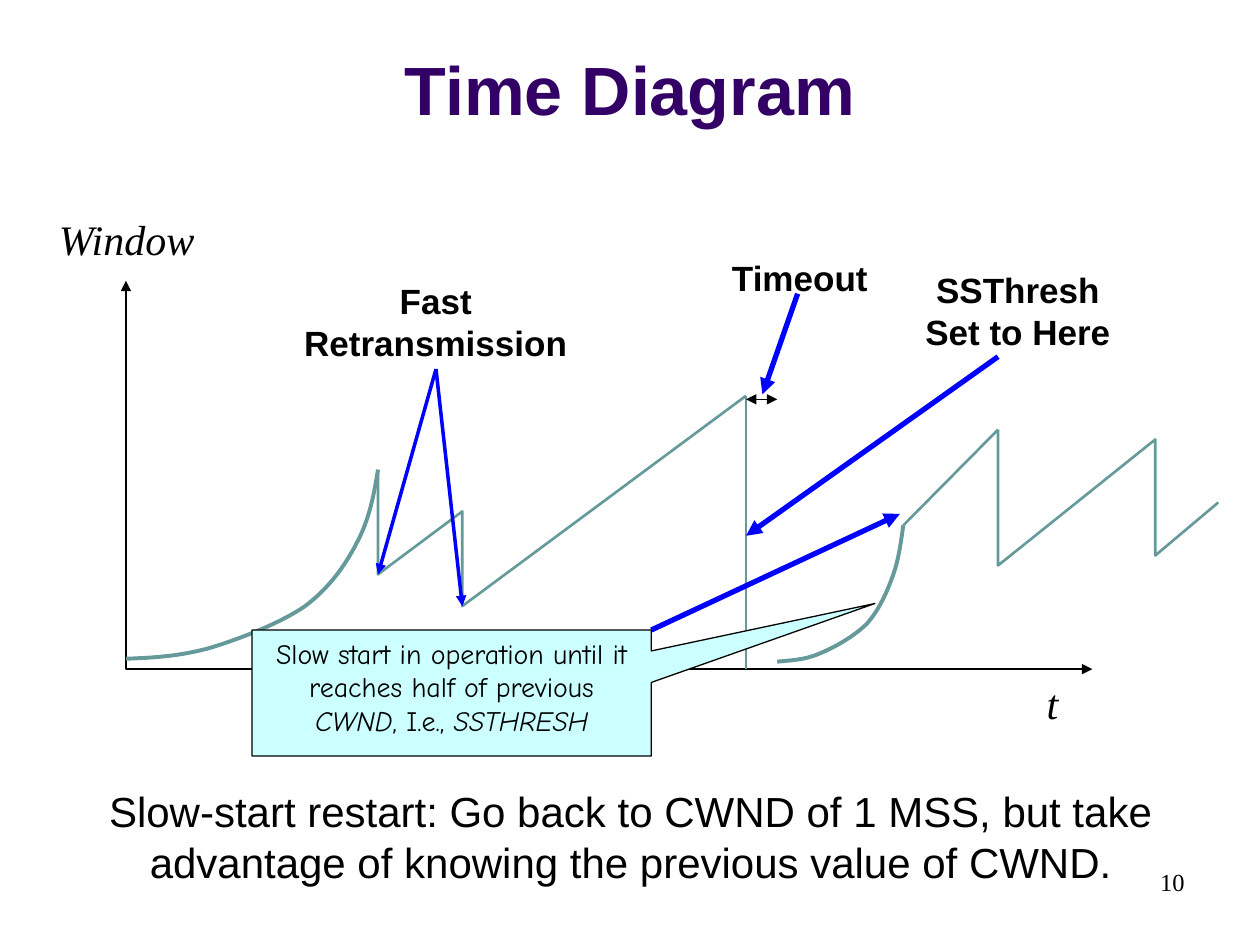
from dataclasses import dataclass

from lxml.etree import SubElement
from pptx import Presentation
from pptx.dml.color import RGBColor as RGB
from pptx.enum.shapes import MSO_CONNECTOR as Connector, MSO_SHAPE as Shape
from pptx.enum.text import MSO_ANCHOR as Anchor, PP_ALIGN as Align
from pptx.oxml.ns import qn
from pptx.util import Cm, Pt


@dataclass(frozen=True)
class Theme:
    title: RGB = RGB(0x33, 0x00, 0x66)
    ink: RGB = RGB(0x00, 0x00, 0x00)
    curve: RGB = RGB(0x66, 0x99, 0x99)
    pointer: RGB = RGB(0x00, 0x00, 0xFF)
    callout: RGB = RGB(0xCC, 0xFF, 0xFF)
    sans: str = "Arial"
    serif: str = "Times New Roman"
    comic: str = "Comic Neue"
    title_size: int = 39
    body_size: int = 24
    label_size: int = 20
    callout_size: int = 16
    page_size: int = 14


T = Theme()
TITLE = dict(name=T.sans, size=Pt(T.title_size), bold=True, color=T.title)
BODY = dict(name=T.sans, size=Pt(T.body_size))
AXIS = dict(name=T.serif, size=Pt(T.body_size), italic=True)
LABEL = dict(name=T.sans, size=Pt(T.label_size), bold=True)
PAGE = dict(name=T.serif, size=Pt(T.page_size))
CALLOUT = dict(name=T.comic, size=Pt(T.callout_size))
EMPHASIS = CALLOUT | dict(italic=True)

ORIGIN = (2.54, 13.49)
FIRST_PEAK = (7.62, 9.47)
TIMEOUT_PEAK = (15.04, 7.98)
RESTART_PEAK = (18.21, 10.59)

AXES = [(2.54, 5.66), ORIGIN, (22.02, 13.49)]
SLOW_START = [
    FIRST_PEAK, (7.54, 9.98), (7.44, 10.49), (7.19, 10.95),
    (6.96, 11.4), (6.63, 11.86), (6.15, 12.22),
    (5.64, 12.57), (4.83, 12.88), (4.24, 13.06),
    (3.63, 13.23), (3.1, 13.26), (2.54, 13.28),
]
SLOW_RESTART = [
    RESTART_PEAK, (18.16, 10.95), (18.11, 11.33), (17.98, 11.66),
    (17.86, 11.99), (17.7, 12.32), (17.48, 12.57),
    (17.22, 12.83), (16.81, 13.06), (16.51, 13.18),
    (16.21, 13.31), (15.93, 13.31), (15.67, 13.34),
]
SAWTOOTH = [FIRST_PEAK, (7.62, 11.58), (9.32, 10.31), (9.32, 12.22), TIMEOUT_PEAK]
LATE_SAWTOOTH = [(20.12, 8.66), (20.12, 11.4), (23.29, 8.86), (23.29, 11.2), (24.56, 10.13)]


def write(tf, paragraphs, align):
    for i, runs in enumerate(paragraphs):
        p = tf.add_paragraph() if i else tf.paragraphs[0]
        p.alignment = align
        for text, style in runs:
            r = p.add_run()
            r.text = text
            r.font.color.rgb = T.ink
            for key, value in style.items():
                if key == "color":
                    r.font.color.rgb = value
                else:
                    setattr(r.font, key, value)


def add_text(slide, box, lines, style, align=Align.CENTER, wrap=True):
    tf = slide.shapes.add_textbox(*map(Cm, box)).text_frame
    tf.word_wrap = wrap
    write(tf, [[(line, style)] for line in lines], align)


def style_line(sp, color, width, ends=()):
    sp.line.color.rgb = color
    sp.line.width = Pt(width)
    ln = sp._element.spPr.get_or_add_ln()
    for end in ends:
        SubElement(ln, qn(f"a:{end}End"), type="triangle")


def add_path(slide, points, color, width, ends=()):
    start, *rest = [(Cm(x), Cm(y)) for x, y in points]
    builder = slide.shapes.build_freeform(*start)
    builder.add_line_segments(rest, close=False)
    sp = builder.convert_to_shape()
    sp.fill.background()
    sp.shadow.inherit = False
    style_line(sp, color, width, ends)
    return sp


def add_curve(slide, points, color, width):
    sp = add_path(slide, points, color, width)
    segments = list(sp._element.iter(qn("a:lnTo")))
    outline = segments[0].getparent()
    for triple in zip(segments[::3], segments[1::3], segments[2::3]):
        bezier = SubElement(outline, qn("a:cubicBezTo"))
        for segment in triple:
            bezier.append(segment[0])
            outline.remove(segment)


def add_line(slide, start, end, color, width, ends=()):
    cx = slide.shapes.add_connector(Connector.STRAIGHT, *map(Cm, start + end))
    style_line(cx, color, width, ends)
    SubElement(cx._element.spPr, qn("a:effectLst"))


def add_pointer(slide, start, end, width=3):
    add_line(slide, start, end, T.pointer, width, ["tail"])


def add_callout(slide, box, tip, runs):
    sp = slide.shapes.add_shape(Shape.RECTANGULAR_CALLOUT, *map(Cm, box))
    sp.adjustments[0], sp.adjustments[1] = tip
    sp.shadow.inherit = False
    sp.fill.solid()
    sp.fill.fore_color.rgb = T.callout
    style_line(sp, T.ink, 0.75)
    tf = sp.text_frame
    tf.word_wrap = True
    tf.vertical_anchor = Anchor.TOP
    write(tf, [runs], Align.CENTER)


def set_title(slide, text):
    title = slide.shapes.title
    box = dict(left=0, top=0.33, width=25.4, height=2.41)
    for key, value in box.items():
        setattr(title, key, Cm(value))
    title.text_frame.vertical_anchor = Anchor.BOTTOM
    write(title.text_frame, [[(text, TITLE)]], Align.CENTER)


def main():
    prs = Presentation()
    prs.slide_width, prs.slide_height = Cm(25.4), Cm(19.05)
    slide = prs.slides.add_slide(prs.slide_layouts[5])
    set_title(slide, "Time Diagram")
    add_text(slide, (18.21, 17.35, 5.92, 1.27), ["10"], PAGE, Align.RIGHT)

    add_path(slide, AXES, T.ink, 1.5, ["head", "tail"])
    add_curve(slide, SLOW_START, T.curve, 2.25)
    add_text(slide, (20.85, 13.54, 0.74, 1.27), ["t"], AXIS, Align.LEFT, wrap=False)
    add_text(slide, (0.94, 4.17, 3.28, 1.27), ["Window"], AXIS, Align.LEFT, wrap=False)
    add_text(slide, (1.83, 15.72, 21.77, 2.29), [
        "Slow-start restart: Go back to CWND of 1 MSS, but take "
        "advantage of knowing the previous value of CWND."], BODY)

    add_path(slide, SAWTOOTH, T.curve, 1.5)
    add_line(slide, TIMEOUT_PEAK, (15.04, 13.49), T.curve, 1.5)
    add_curve(slide, SLOW_RESTART, T.curve, 2.25)
    add_callout(slide, (5.08, 12.7, 8.05, 2.54), (1.06, -0.71), [
        ("Slow start in operation until it reaches half of previous ", CALLOUT),
        ("CWND", EMPHASIS), (", I.e., ", CALLOUT), ("SSTHRESH", EMPHASIS)])
    add_path(slide, LATE_SAWTOOTH, T.curve, 1.5)
    add_line(slide, RESTART_PEAK, LATE_SAWTOOTH[0], T.curve, 1.5)
    add_pointer(slide, (13.13, 12.7), (18.14, 10.36))

    add_pointer(slide, (16.08, 5.92), (15.37, 7.95))
    add_text(slide, (14.17, 5.05, 3.91, 1.09), ["Timeout"], LABEL)
    add_line(slide, (15.04, 8.05), (15.67, 8.05), T.ink, 0.75, ["head", "tail"])

    add_text(slide, (5.51, 5.51, 6.55, 1.96), ["Fast Retransmission"], LABEL)
    for loss in SAWTOOTH[1::2]:
        add_pointer(slide, (8.79, 7.44), loss, 2)

    add_pointer(slide, (20.12, 7.19), (15.04, 10.8))
    add_text(slide, (17.98, 5.28, 5.08, 1.96), ["SSThresh", "Set to Here"], LABEL)
    prs.save("out.pptx")


if __name__ == "__main__":
    main()
